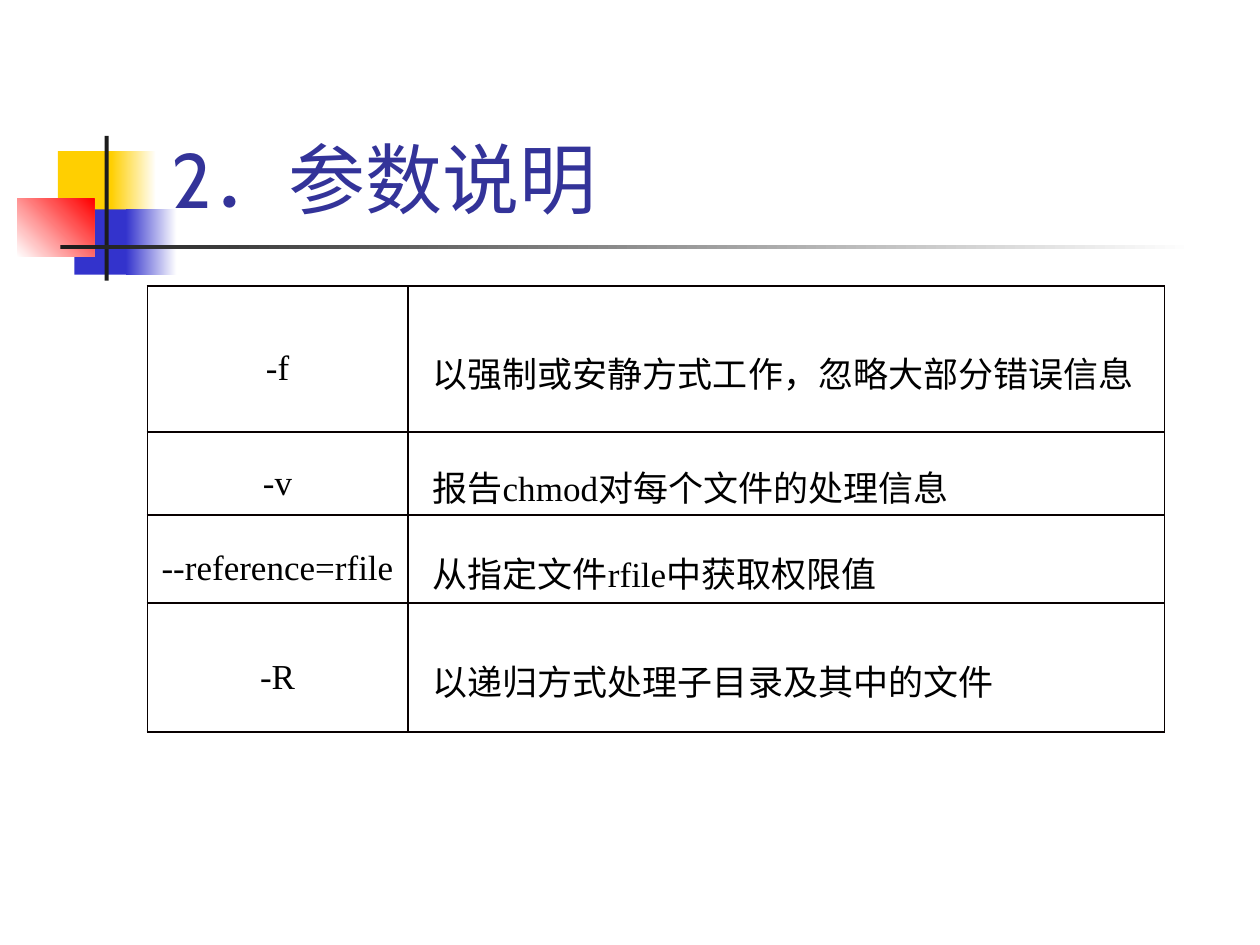
from dataclasses import dataclass

from lxml.etree import SubElement
from pptx import Presentation
from pptx.dml.color import RGBColor
from pptx.enum.text import MSO_ANCHOR as Anchor, MSO_AUTO_SIZE as AutoSize, PP_ALIGN as Align
from pptx.enum.shapes import MSO_SHAPE as Shape
from pptx.oxml.ns import qn
from pptx.util import Cm, Pt


@dataclass(frozen=True)
class Theme:
    """Colours, fonts and type sizes of the slide."""
    yellow: str = "FFCF01"
    blue: str = "3333CC"
    red: str = "FF0000"
    white: str = "FFFFFF"
    rule: str = "1C1C1C"
    title: str = "333399"
    text: str = "000000"
    border: str = "080000"
    title_font: str = "Cabin"
    body_font: str = "Times New Roman"
    title_size: int = 44
    body_size: int = 20
    border_width: int = 1


THEME = Theme()

DECORATION = [
    ((1.17, 3.05, 1.22, 1.32), (THEME.yellow,), 0),
    ((2.24, 3.05, 0.91, 1.32), (THEME.yellow, THEME.white), 0),
    ((1.5, 4.22, 1.17, 1.32), (THEME.blue,), 0),
    ((2.54, 4.22, 1.02, 1.32), (THEME.blue, THEME.white), 0),
    ((0.35, 4.01, 1.55, 1.17), (THEME.white, THEME.red), 45),
    ((2.11, 2.74, 0.08, 2.92), (THEME.rule,), 0),
    ((1.22, 4.94, 22.86, 0.09), (THEME.rule, THEME.white), 0),
]

OPTIONS = [
    ("-f", "以强制或安静方式工作，忽略大部分错误信息"),
    ("-v", "报告chmod对每个文件的处理信息"),
    ("--reference=rfile", "从指定文件rfile中获取权限值"),
    ("-R", "以递归方式处理子目录及其中的文件"),
]
COLUMN_WIDTHS = (5.25, 15.25)
ROW_HEIGHTS = (2.94, 1.67, 1.78, 2.6)


def format_font(font, name, size, color):
    """Apply typeface, size and colour to a font."""
    font.name = name
    font.size = Pt(size)
    font.color.rgb = RGBColor.from_string(color)


def add_block(slide, box, colors, angle):
    """Add a borderless rectangle with a plain or two-colour gradient fill."""
    shape = slide.shapes.add_shape(Shape.RECTANGLE, *map(Cm, box))
    shape.shadow.inherit = False
    shape.line.fill.background()
    if len(colors) == 1:
        shape.fill.solid()
        shape.fill.fore_color.rgb = RGBColor.from_string(colors[0])
        return
    shape.fill.gradient()
    shape.fill.gradient_angle = angle
    for stop, color in zip(shape.fill.gradient_stops, colors):
        stop.color.rgb = RGBColor.from_string(color)


def set_title(slide, text):
    """Place the title in front of the decoration and format it."""
    title = slide.shapes.title
    title.element.getparent().append(title.element)
    title.left, title.top, title.width, title.height = map(Cm, (3.2, 0.58, 21.64, 4.06))
    frame = title.text_frame
    frame.text = text
    frame.auto_size = AutoSize.NONE
    frame.vertical_anchor = Anchor.BOTTOM
    paragraph = frame.paragraphs[0]
    paragraph.alignment = Align.LEFT
    format_font(paragraph.runs[0].font, THEME.title_font, THEME.title_size, THEME.title)


def set_borders(cell):
    """Draw a thin line on all four sides of a cell."""
    properties = cell._tc.get_or_add_tcPr()
    for side in ("a:lnL", "a:lnR", "a:lnT", "a:lnB"):
        line = SubElement(properties, qn(side), w=str(Pt(THEME.border_width)))
        fill = SubElement(line, qn("a:solidFill"))
        SubElement(fill, qn("a:srgbClr"), val=THEME.border)


def fill_cell(cell, text, centred):
    """Write one table cell, centred or with a first-line indent."""
    cell.text_frame.text = text
    cell.margin_left = cell.margin_right = cell.margin_top = cell.margin_bottom = 0
    cell.vertical_anchor = Anchor.MIDDLE
    set_borders(cell)
    cell.fill.background()
    paragraph = cell.text_frame.paragraphs[0]
    paragraph.line_spacing = 1.5
    paragraph.alignment = Align.CENTER if centred else Align.LEFT
    if not centred:
        paragraph._p.get_or_add_pPr().set("indent", str(Cm(0.5)))
    format_font(paragraph.runs[0].font, THEME.body_font, THEME.body_size, THEME.text)


def add_options_table(slide):
    """Add the table of command options."""
    size = Cm(sum(COLUMN_WIDTHS)), Cm(sum(ROW_HEIGHTS))
    table = slide.shapes.add_table(
        len(OPTIONS), len(COLUMN_WIDTHS), Cm(2.97), Cm(5.77), *size).table
    table.first_row = table.horz_banding = False
    for column, width in zip(table.columns, COLUMN_WIDTHS):
        column.width = Cm(width)
    for row, height, texts in zip(table.rows, ROW_HEIGHTS, OPTIONS):
        row.height = Cm(height)
        for index, text in enumerate(texts):
            fill_cell(row.cells[index], text, centred=index == 0)


def main():
    """Build the slide and save it."""
    presentation = Presentation()
    presentation.slide_width, presentation.slide_height = Cm(25.4), Cm(19.05)
    slide = presentation.slides.add_slide(presentation.slide_layouts[5])
    for box, colors, angle in DECORATION:
        add_block(slide, box, colors, angle)
    set_title(slide, "2．参数说明")
    add_options_table(slide)
    presentation.save("out.pptx")


if __name__ == "__main__":
    main()
